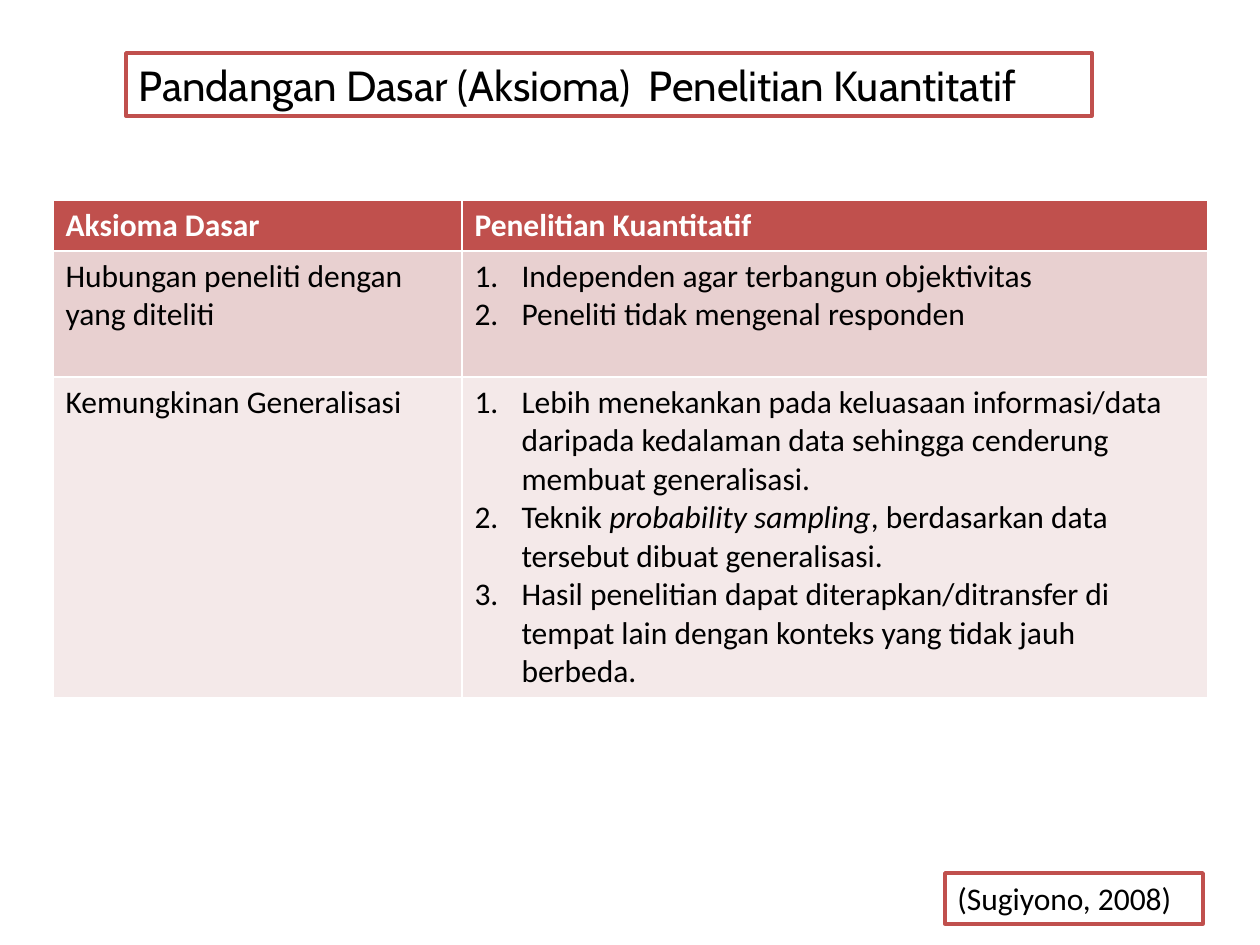
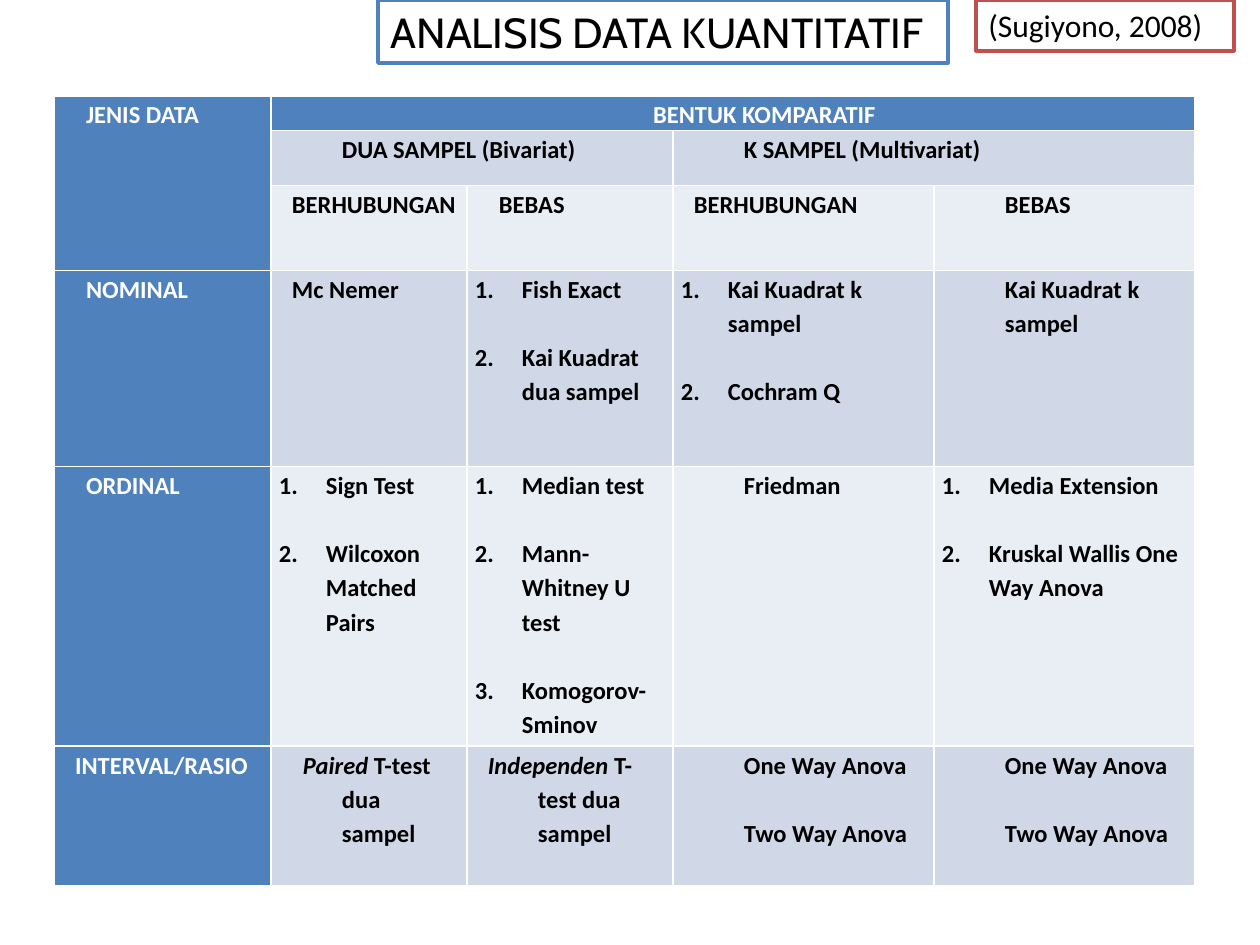
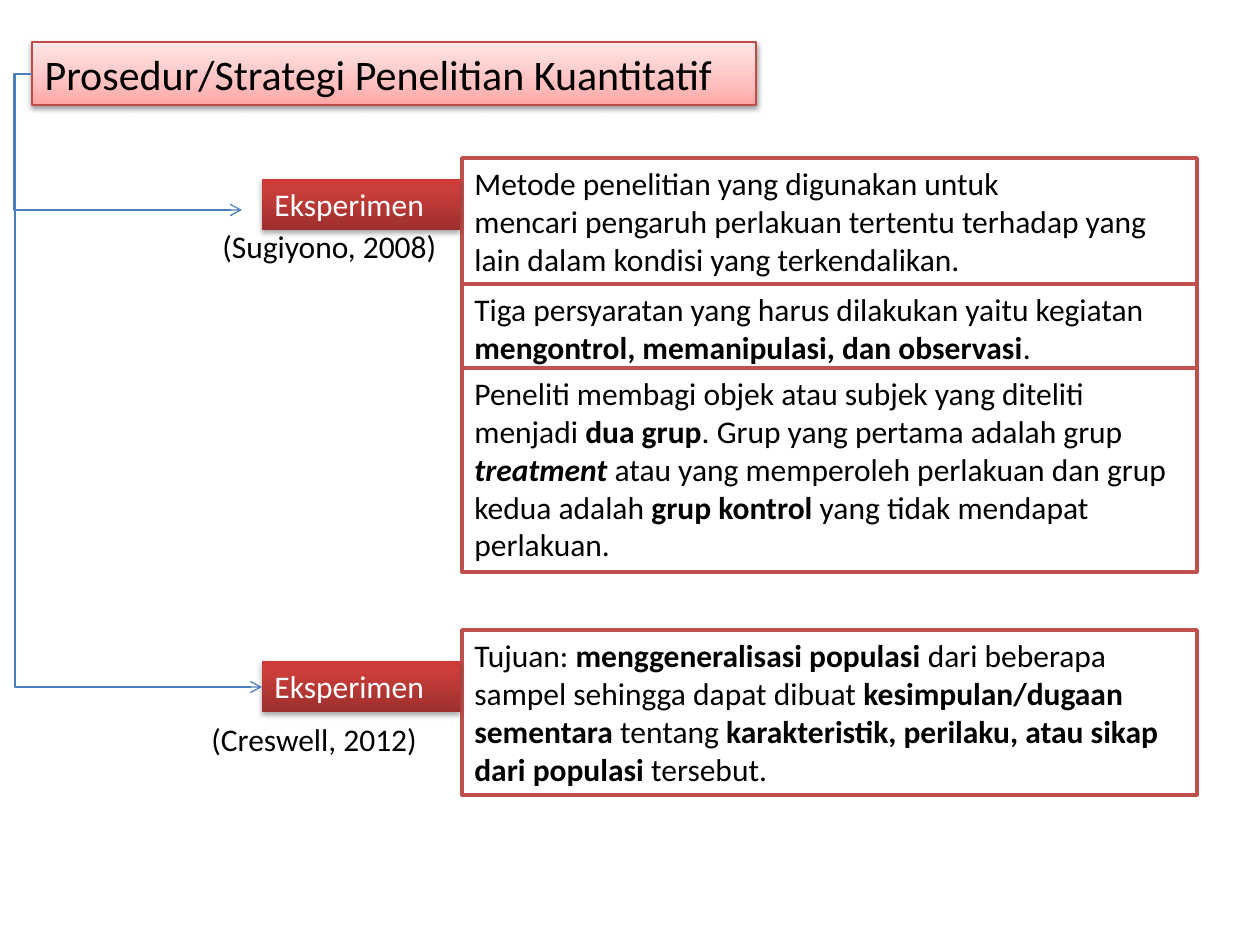
"""Build three slides on quantitative research: axioms, data analysis and strategy."""
import pptx
import pptx.dml.color
import pptx.enum.shapes
import pptx.enum.text
import pptx.oxml.ns
import pptx.util
from lxml import etree

COLORS = {
    "black": "000000", "white": "FFFFFF", "red": "C0504D", "blue": "4F81BD",
    "arrow": "4B7EBC", "pink edge": "BF4C48",
}
BANDS = {"red": ("F4E9E9", "E8D0D0"), "blue": ("E9EDF4", "D0D8E8")}
PINK = ((0, "FFA6A5"), (35, "FFC0BF"), (100, "FFE7E7"))
DEEP_RED = ((0, "9C2F2D"), (80, "CB3E3A"), (100, "CE3B37"))
INDENTS = {"text": (0, 0), "list": (47, -47), "label": (63, -39),
           "wide": (63, -50), "block": (63, 0), "center": (63, 0)}
LEFT = pptx.enum.text.PP_ALIGN.LEFT
CENTER = pptx.enum.text.PP_ALIGN.CENTER
TITLE_ONLY = 5


def px(length):
    """Turn pixels into EMU."""
    return pptx.util.Emu(round(length * 914400 / 126))


def rgb(name):
    """Return the colour for a name or a hex string."""
    return pptx.dml.color.RGBColor.from_string(COLORS.get(name, name))


def add_xml(parent, tag, **attributes):
    """Append a drawing element to its parent."""
    values = {key: str(value) for key, value in attributes.items()}
    return etree.SubElement(parent, pptx.oxml.ns.qn(tag), values)


def write(frame, paragraphs, size=18, font="Calibri", color="black", bold=False,
          style="text", gap=0, spacing=None):
    """Write paragraphs, each a string or a list of (text, flags) runs."""
    frame.word_wrap = True
    for index, content in enumerate(paragraphs):
        paragraph = frame.paragraphs[0] if index == 0 else frame.add_paragraph()
        paragraph.alignment = CENTER if style == "center" else LEFT
        if spacing:
            paragraph.line_spacing = spacing
        if index and gap:
            paragraph.space_before = pptx.util.Pt(gap)
        properties = paragraph._p.get_or_add_pPr()
        margin, indent = INDENTS[style]
        properties.set("marL", str(px(margin)))
        properties.set("indent", str(px(indent)))
        if style == "list":
            add_xml(properties, "a:buFont", typeface="+mj-lt")
            add_xml(properties, "a:buAutoNum", type="arabicPeriod")
        for text, flags in [(content, "")] if isinstance(content, str) else content:
            run = paragraph.add_run()
            run.text = text
            run.font.name = font
            run.font.size = pptx.util.Pt(size)
            run.font.bold = bold or "b" in flags
            run.font.italic = "i" in flags
            run.font.color.rgb = rgb(color)


def outline(shape, color, width=2):
    """Give a shape a white fill, a coloured line and no shadow."""
    shape.shadow.inherit = False
    shape.fill.solid()
    shape.fill.fore_color.rgb = rgb("white")
    shape.line.color.rgb = rgb(color)
    shape.line.width = pptx.util.Pt(width)


def shade(shape, stops, opacity, distance):
    """Give a shape an upward gradient and a soft shadow below it."""
    shape.fill.gradient()
    shape.fill.gradient_angle = 90
    properties = shape.element.spPr
    stop_list = properties.find(".//" + pptx.oxml.ns.qn("a:gsLst"))
    stop_list.clear()
    for position, color in stops:
        stop = add_xml(stop_list, "a:gs", pos=position * 1000)
        add_xml(stop, "a:srgbClr", val=color)
    shape.shadow.inherit = False
    effects = properties.find(pptx.oxml.ns.qn("a:effectLst"))
    shadow = add_xml(effects, "a:outerShdw", blurRad=40000, dist=distance,
                     dir=5400000, rotWithShape=0)
    shadow_color = add_xml(shadow, "a:srgbClr", val=COLORS["black"])
    add_xml(shadow_color, "a:alpha", val=opacity * 1000)


def add_title(slide, box, text, color, font="Cabin"):
    """Move the title placeholder into an outlined box."""
    title = slide.shapes.title
    title.left, title.top, title.width, title.height = map(px, box)
    outline(title, color)
    title.text_frame.auto_size = pptx.enum.text.MSO_AUTO_SIZE.NONE
    title.text_frame.vertical_anchor = pptx.enum.text.MSO_ANCHOR.TOP
    write(title.text_frame, [text], size=24, font=font)
    return title


def add_box(slide, box, paragraphs, color="black"):
    """Add a red-outlined rectangle with text."""
    shape = slide.shapes.add_shape(pptx.enum.shapes.MSO_SHAPE.RECTANGLE, *map(px, box))
    outline(shape, "red")
    shape.text_frame.vertical_anchor = pptx.enum.text.MSO_ANCHOR.TOP
    write(shape.text_frame, paragraphs, color=color)
    return shape


def add_source(slide, left, top):
    """Add the boxed source reference."""
    add_box(slide, (left, top, 258, 51), ["(Sugiyono, 2008)"])


def add_method(slide, top):
    """Add the shaded label of a method."""
    shape = add_box(slide, (262, top, 198, 51), ["Eksperimen"], "white")
    shape.line.fill.background()
    shade(shape, DEEP_RED, 35, 23000)


def add_caption(slide, box, text):
    """Add plain text without a frame."""
    write(slide.shapes.add_textbox(*map(px, box)).text_frame, [text])


def add_elbow(slide, start, end, bend):
    """Add an arrow that runs by way of a vertical line at bend."""
    connector = slide.shapes.add_connector(
        pptx.enum.shapes.MSO_CONNECTOR.ELBOW, *map(px, start + end))
    connector.line.color.rgb = rgb("arrow")
    connector.line.width = pptx.util.Pt(0.75)
    properties = connector.element.spPr
    add_xml(properties.find(pptx.oxml.ns.qn("a:ln")), "a:tailEnd", type="arrow")
    add_xml(properties, "a:effectLst")
    share = round((bend - start[0]) / (end[0] - start[0]) * 100000)
    guides = properties.find(".//" + pptx.oxml.ns.qn("a:avLst"))
    add_xml(guides, "a:gd", name="adj1", fmla=f"val {share}")


def add_grid(slide, corner, widths, heights, rows, palette, merges=(),
             label_column=False, margins=None, **text_format):
    """Add a banded table; each cell is (style, paragraph, ...) or None if merged."""
    frame = slide.shapes.add_table(
        len(heights), len(widths), *map(px, corner + (sum(widths), sum(heights))))
    table = frame.table
    table.first_col = label_column
    for column, width in zip(table.columns, widths):
        column.width = px(width)
    for row, height in zip(table.rows, heights):
        row.height = px(height)
    for first, last in merges:
        table.cell(*first).merge(table.cell(*last))
    for row_index, row in enumerate(rows):
        for column_index, content in enumerate(row):
            cell = table.cell(row_index, column_index)
            if margins:
                cell.margin_left = cell.margin_right = px(margins[0])
                cell.margin_top = cell.margin_bottom = px(margins[1])
            header = row_index == 0 or (label_column and column_index == 0)
            cell.fill.solid()
            cell.fill.fore_color.rgb = rgb(palette if header else BANDS[palette][row_index % 2])
            if content:
                style, *paragraphs = content
                options = {"bold": header, **text_format}
                write(cell.text_frame, paragraphs, style=style,
                      color="white" if header else "black", **options)


def build_axioms(slide):
    """Fill the slide on basic axioms."""
    add_title(slide, (126, 53, 966, 63),
              "Pandangan Dasar (Aksioma)  Penelitian Kuantitatif", "red")
    rows = [
        [("text", "Aksioma Dasar"), ("text", "Penelitian Kuantitatif")],
        [("text", "Hubungan peneliti dengan yang diteliti"),
         ("list", "Independen agar terbangun objektivitas",
          "Peneliti tidak mengenal responden")],
        [("text", "Kemungkinan Generalisasi"),
         ("list",
          "Lebih menekankan pada keluasaan informasi/data daripada kedalaman data "
          "sehingga cenderung membuat generalisasi.",
          [("Teknik ", ""), ("probability sampling", "i"),
           (", berdasarkan data tersebut dibuat generalisasi.", "")],
          "Hasil penelitian dapat diterapkan/ditransfer di tempat lain dengan "
          "konteks yang tidak jauh berbeda.")],
    ]
    add_grid(slide, (53, 200), (409, 746), (51, 126, 315), rows, "red")
    add_source(slide, 945, 873)


def build_analysis(slide):
    """Fill the slide on statistical tests by kind of data."""
    anova = ("block", "One Way Anova", "Two Way Anova")
    rows = [
        [("label", "JENIS DATA"), ("center", "BENTUK KOMPARATIF"), None, None, None],
        [None, ("block", "DUA SAMPEL (Bivariat)"), None,
         ("block", "K SAMPEL (Multivariat)"), None],
        [None, ("wide", "BERHUBUNGAN"), ("label", "BEBAS"),
         ("wide", "BERHUBUNGAN"), ("block", "BEBAS")],
        [("label", "NOMINAL"), ("wide", "Mc Nemer"),
         ("list", "Fish Exact", "Kai Kuadrat dua sampel"),
         ("list", "Kai Kuadrat k sampel", "Cochram Q"),
         ("block", "Kai Kuadrat k sampel")],
        [("label", "ORDINAL"), ("list", "Sign Test", "Wilcoxon Matched Pairs"),
         ("list", "Median test", "Mann-Whitney U test", "Komogorov-Sminov"),
         ("block", "Friedman"),
         ("list", "Media Extension", "Kruskal Wallis One Way Anova")],
        [("wide", "INTERVAL/RASIO"),
         ("label", [("Paired ", "i"), ("T-test dua sampel", "")]),
         ("wide", [("Independen", "i"), (" T-test dua sampel", "")]),
         anova, anova],
    ]
    merges = (((0, 0), (2, 0)), ((0, 1), (0, 4)), ((1, 1), (1, 2)), ((1, 3), (1, 4)))
    add_grid(slide, (54, 96), (217, 196, 206, 261, 261), (34, 55, 85, 196, 280, 140),
             rows, "blue", merges, label_column=True, margins=(8, 0),
             size=14, bold=True, gap=19.6, spacing=1.15)
    add_title(slide, (378, 0, 570, 63), "ANALISIS DATA KUANTITATIF", "blue")
    add_source(slide, 976, 0)


def build_strategy(slide):
    """Fill the slide on experiments as a research strategy."""
    title = add_title(slide, (32, 42, 724, 63),
                      "Prosedur/Strategi Penelitian Kuantitatif", "pink edge", "Calibri")
    title.line.width = pptx.util.Pt(0.75)
    shade(title, PINK, 38, 20000)
    explanations = [
        (158, 127, ["Metode penelitian yang digunakan untuk",
                    "mencari pengaruh perlakuan tertentu terhadap yang lain dalam "
                    "kondisi yang terkendalikan."]),
        (284, 89, [[("Tiga persyaratan yang harus dilakukan yaitu kegiatan ", ""),
                    ("mengontrol, memanipulasi, dan observasi", "b"), (".", "")]]),
        (368, 204, [[("Peneliti membagi objek atau subjek yang diteliti menjadi ", ""),
                     ("dua grup", "b"), (". Grup yang pertama adalah grup ", ""),
                     ("treatment ", "bi"),
                     ("atau yang memperoleh perlakuan dan grup kedua adalah ", ""),
                     ("grup kontrol ", "b"), ("yang tidak mendapat perlakuan.", "")]]),
        (630, 165, [[("Tujuan: ", ""), ("menggeneralisasi populasi ", "b"),
                     ("dari beberapa sampel sehingga dapat dibuat ", ""),
                     ("kesimpulan/dugaan sementara ", "b"), ("tentang ", ""),
                     ("karakteristik, perilaku, atau sikap dari populasi ", "b"),
                     ("tersebut.", "")]]),
    ]
    for top, height, paragraphs in explanations:
        add_box(slide, (462, top, 735, height), paragraphs)
    for top in (179, 661):
        add_method(slide, top)
    add_elbow(slide, (32, 74), (242, 210), 14)
    add_elbow(slide, (32, 74), (262, 687), 15)
    add_caption(slide, (210, 221, 250, 51), "(Sugiyono, 2008)")
    add_caption(slide, (199, 714, 233, 51), "(Creswell, 2012)")


def main():
    """Build and save the presentation."""
    presentation = pptx.Presentation()
    presentation.slide_width = px(1260)
    presentation.slide_height = px(945)
    for build in (build_axioms, build_analysis, build_strategy):
        build(presentation.slides.add_slide(presentation.slide_layouts[TITLE_ONLY]))
    presentation.save("out.pptx")


if __name__ == "__main__":
    main()
